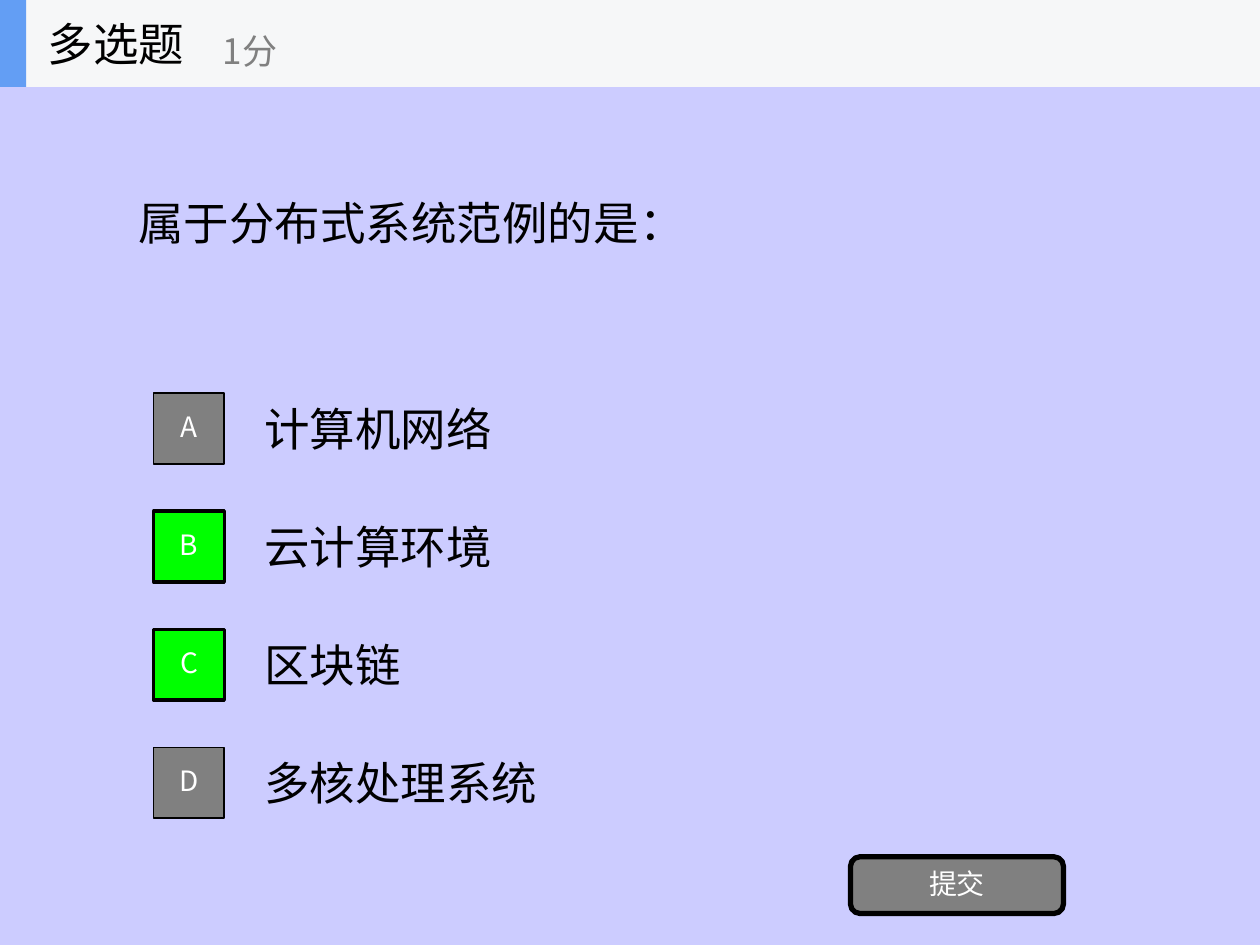
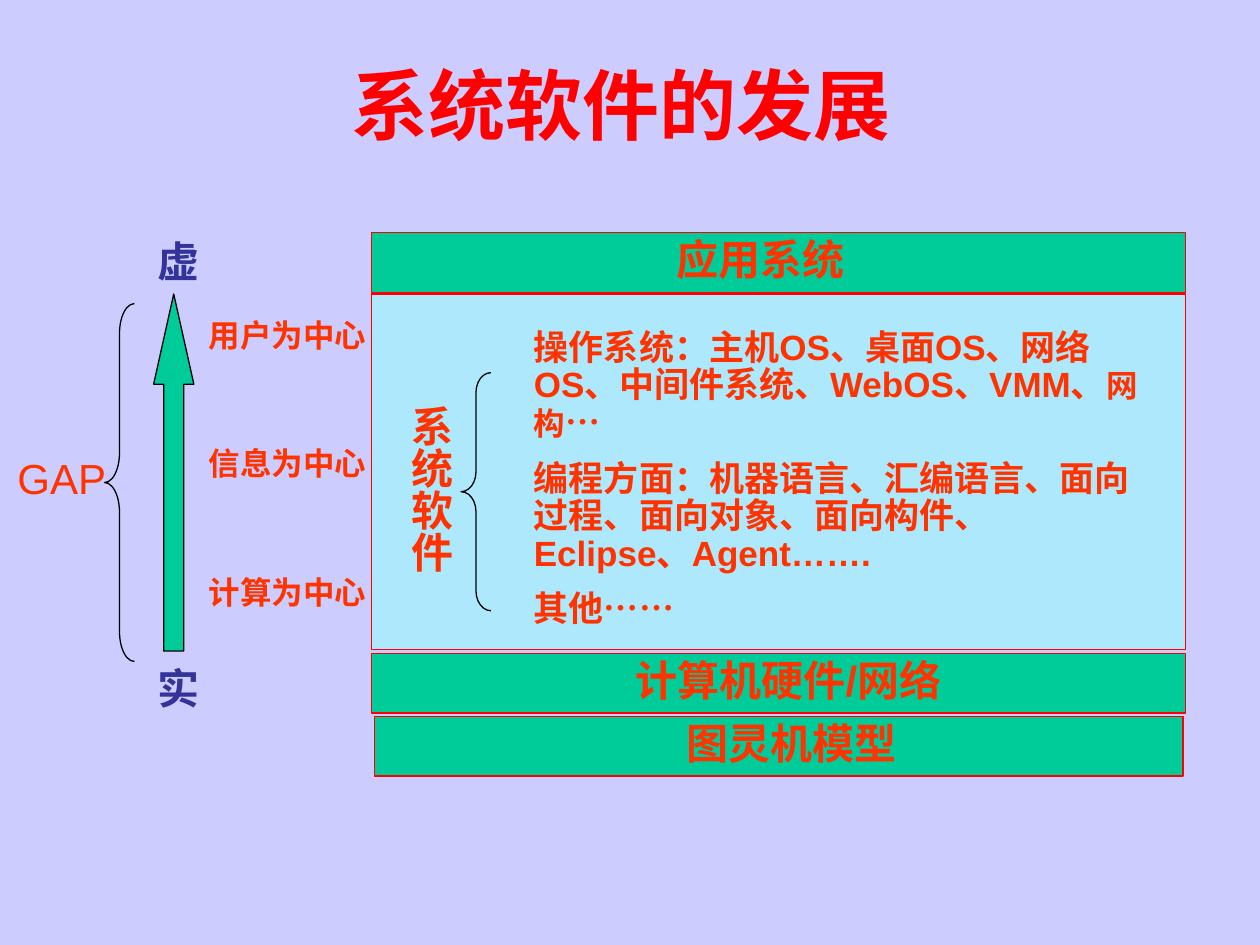
from pptx import Presentation
from pptx.dml.color import RGBColor
from pptx.enum.shapes import MSO_SHAPE as SHAPE
from pptx.enum.text import MSO_ANCHOR as ANCHOR, MSO_AUTO_SIZE as AUTO_SIZE, PP_ALIGN as ALIGN
from pptx.oxml.ns import qn
from pptx.util import Pt

# ---------- Content ----------
QUIZ_TYPE, QUIZ_SCORE = "多选题", "1分"
QUESTION = "属于分布式系统范例的是："
OPTIONS = [  # letter, text, is correct
    ("A", "计算机网络", False),
    ("B", "云计算环境", True),
    ("C", "区块链", True),
    ("D", "多核处理系统", False),
]
SUBMIT = "提交"

TITLE = "系统软件的发展"
LAYERS = [  # text, box, shift of the text from the centre
    ("图灵机模型", (214, 409.5, 462, 34), 7.5),
    ("应用系统", (212.5, 133, 465, 34), -10.5),
    ("计算机硬件/网络", (212.5, 373.5, 465, 34), 5.5),
]
SOFTWARE = "系统软件"
SOFTWARE_KINDS = [  # paragraphs of (text, size) runs
    [("操作系统：主机OS、桌面OS、网络OS、中间件系统、WebOS、VMM、", 20), ("网构", 18), ("…", 20)],
    [("编程方面：机器语言、汇编语言、面向过程、面向对象、面向构件、Eclipse、Agent…….", 20)],
    [("其他……", 20)],
]
CENTRES = ["用户为中心", "信息为中心", "计算为中心"]
GAP = "GAP"
POLES = [("虚", 134), ("实", 378)]  # text, top

# ---------- Shared look ----------
COLORS = {
    "background": "CCCCFF", "black": "000000", "white": "FFFFFF", "gray": "808080",
    "correct": "00FF00", "header": "F6F7F8", "accent": "639EF4", "red": "FF0000",
    "layer": "00CC99", "panel": "AEE8FC", "orange": "FF3300", "pole": "333399",
}
CJK = "Noto Sans CJK SC"
MARGIN = 7.2


def rgb(name):
    return RGBColor.from_string(COLORS[name])


def style_run(run, size, color, font, bold):
    run.font.size = Pt(size)
    run.font.name = font
    run.font.bold = bold
    run.font.color.rgb = rgb(color)
    properties = run.font._element
    east_asian = properties.makeelement(qn("a:ea"), {"typeface": CJK})
    properties.find(qn("a:latin")).addnext(east_asian)


def write(shape, paragraphs, size, color, font=CJK, bold=False, align=ALIGN.LEFT,
          spacing=None, anchor=ANCHOR.MIDDLE, grow=False):
    """Fill a shape with one string, or with paragraphs made of (text, size) runs."""
    if isinstance(paragraphs, str):
        paragraphs = [[(paragraphs, size)]]
    frame = shape.text_frame
    frame.word_wrap = True
    frame.vertical_anchor = anchor
    if grow:
        frame.auto_size = AUTO_SIZE.SHAPE_TO_FIT_TEXT
    for index, runs in enumerate(paragraphs):
        paragraph = frame.add_paragraph() if index else frame.paragraphs[0]
        paragraph.alignment = align
        if spacing:
            paragraph.line_spacing = spacing
        if index:
            paragraph.space_before = Pt(size / 2)
        for text, run_size in runs:
            run = paragraph.add_run()
            run.text = text
            style_run(run, run_size, color, font, bold)


def add_text(slide, box, text, size, color, **options):
    shape = slide.shapes.add_textbox(*map(Pt, box))
    write(shape, text, size, color, **options)
    return shape


def add_shape(slide, kind, box, fill=None, line=None, width=0.75, adjustments=()):
    shape = slide.shapes.add_shape(kind, *map(Pt, box))
    shape.shadow.inherit = False
    if fill:
        shape.fill.solid()
        shape.fill.fore_color.rgb = rgb(fill)
    else:
        shape.fill.background()
    if line:
        shape.line.color.rgb = rgb(line)
        shape.line.width = Pt(width)
    else:
        shape.line.fill.background()
    for index, value in enumerate(adjustments):
        shape.adjustments[index] = value
    return shape


def add_slide(presentation, layout):
    slide = presentation.slides.add_slide(presentation.slide_layouts[layout])
    slide.background.fill.solid()
    slide.background.fill.fore_color.rgb = rgb("background")
    return slide


# ---------- Slides ----------
def build_quiz(presentation):
    slide = add_slide(presentation, 6)
    button_text = dict(size=16, color="white", align=ALIGN.CENTER, spacing=0.9)
    add_text(slide, (72, 69, 576, 116), QUESTION, 26, "black")

    # Options, each centred on its row
    for row, (letter, text, correct) in enumerate(OPTIONS):
        middle = 244.8 + 67.5 * row
        add_text(slide, (144, middle - 25, 504, 50), text, 26, "black")
        badge = add_shape(slide, SHAPE.RECTANGLE, (87.8, middle - 20.2, 40.4, 40.4),
                          "correct" if correct else "gray", "black", 2 if correct else 1)
        write(badge, letter, **button_text)

    button = add_shape(slide, SHAPE.ROUNDED_RECTANGLE, (486, 489.6, 121.7, 32.4),
                       "gray", "black", 3, [0.167])
    write(button, SUBMIT, **button_text)

    # Header band
    add_shape(slide, SHAPE.RECTANGLE, (0, 0, 720, 49.7), "header")
    add_shape(slide, SHAPE.RECTANGLE, (0, 0, 15, 49.7), "accent")
    add_text(slide, (20.2, 0, 150, 49.7), QUIZ_TYPE, 26, "black")
    add_text(slide, (120.2, 8.6, 180, 40.3), QUIZ_SCORE, 20, "gray")


def build_development(presentation):
    slide = add_slide(presentation, 5)
    label = dict(font="Arial", spacing=0.9, anchor=ANCHOR.TOP, grow=True)
    centred = dict(label, align=ALIGN.CENTER)

    title = slide.shapes.title
    title.left, title.top, title.width, title.height = map(Pt, (31, 20, 648, 79))
    write(title, TITLE, 44, "red", font="Times New Roman", bold=True, align=ALIGN.CENTER)

    # Layers of the stack
    for text, box, shift in LAYERS:
        layer = add_shape(slide, SHAPE.RECTANGLE, box, "layer", "red")
        write(layer, text, 24, "orange", bold=True, **centred)
        layer.text_frame.margin_left = Pt(MARGIN + 2 * max(shift, 0))
        layer.text_frame.margin_right = Pt(MARGIN + 2 * max(-shift, 0))

    # System software panel
    add_shape(slide, SHAPE.UP_ARROW, (87.8, 168, 23, 204), "layer", "black",
              adjustments=[0.5, 2.241])
    add_shape(slide, SHAPE.RECTANGLE, (212.5, 168, 465, 203), "panel", "red")
    software = add_text(slide, (218, 224.6, 43.2, 118.8), SOFTWARE, 24, "orange",
                        bold=True, **centred)
    software.text_frame._txBody.bodyPr.set("vert", "eaVert")
    add_text(slide, (298, 185, 363, 184.3), SOFTWARE_KINDS, 20, "orange", bold=True, **label)

    # Scale from real to virtual
    for row, text in enumerate(CENTRES):
        add_text(slide, (105, 179.3 + 73.4 * row, 118.8, 28.8), text, 18, "orange",
                 bold=True, **centred)
    for box, curl in (((59.8, 173.5, 17, 204.5), 1), ((263.5, 213, 17, 136), 0.667)):
        add_shape(slide, SHAPE.LEFT_BRACE, box, line="black", adjustments=[curl, 0.5])
    add_text(slide, (0, 258.5, 70.6, 36), GAP, 24, "orange", **centred)
    for text, top in POLES:
        add_text(slide, (82, top, 39.6, 34), text, 24, "pole", bold=True, **centred)


def main():
    presentation = Presentation()
    presentation.slide_width, presentation.slide_height = Pt(720), Pt(540)
    build_quiz(presentation)
    build_development(presentation)
    presentation.save("out.pptx")


if __name__ == "__main__":
    main()
